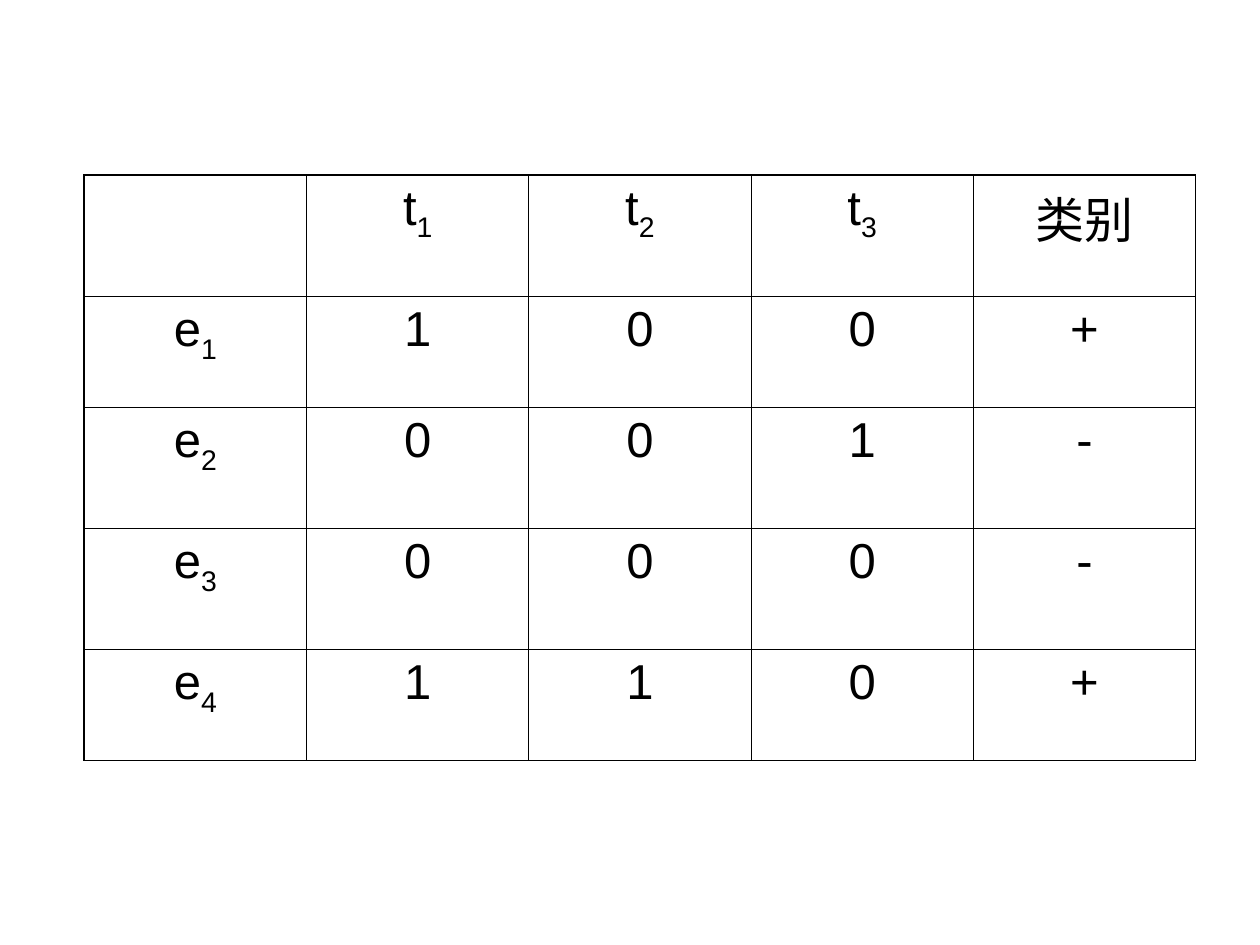
from lxml import etree
from pptx import Presentation
from pptx import util as u
from pptx.dml.color import RGBColor
from pptx.enum import text
from pptx.oxml.ns import qn

BLACK = RGBColor(0, 0, 0)
INNER_WIDTH = u.Pt(0.45)
OUTER_WIDTH = u.Pt(1.08)
COLUMN_WIDTH = u.Cm(4.48)
ROW_HEIGHTS = [u.Cm(height) for height in (2.44, 2.24, 2.44, 2.44, 2.24)]

# An underscore separates a symbol from its subscript.
ROWS = [
    ["", "t_1", "t_2", "t_3", "类别"],
    ["e_1", "1", "0", "0", "+"],
    ["e_2", "0", "0", "1", "-"],
    ["e_3", "0", "0", "0", "-"],
    ["e_4", "1", "1", "0", "+"],
]


def write_cell(cell, label):
    paragraph = cell.text_frame.paragraphs[0]
    paragraph.alignment = text.PP_ALIGN.CENTER
    paragraph.font.size = u.Pt(28)
    paragraph.font.name = "Arial"
    paragraph.font.color.rgb = BLACK
    base, _, subscript = label.partition("_")
    if base:
        paragraph.add_run().text = base
    if subscript:
        run = paragraph.add_run()
        run.text = subscript
        run.font._element.set("baseline", "-25000")


def set_borders(cell, outer_sides):
    """Draw all four sides, with the heavier line on the outer ones."""
    properties = cell._tc.get_or_add_tcPr()
    for side in "LRTB":
        width = OUTER_WIDTH if side in outer_sides else INNER_WIDTH
        line = etree.SubElement(properties, qn(f"a:ln{side}"), w=str(int(width)))
        fill = etree.SubElement(line, qn("a:solidFill"))
        etree.SubElement(fill, qn("a:srgbClr"), val=str(BLACK))


def find_outer_sides(row, column):
    last_row, last_column = len(ROWS) - 1, len(ROWS[0]) - 1
    edges = {"L": column == 0, "R": column == last_column,
             "T": row == 0, "B": row == last_row}
    return [side for side, is_outer in edges.items() if is_outer]


def add_example_table(slide):
    column_count = len(ROWS[0])
    frame = slide.shapes.add_table(
        len(ROWS), column_count, u.Cm(1.7), u.Cm(3.53),
        COLUMN_WIDTH * column_count, sum(ROW_HEIGHTS))
    table = frame.table
    table.first_row = table.horz_banding = False
    for column in table.columns:
        column.width = COLUMN_WIDTH
    for row, height in zip(table.rows, ROW_HEIGHTS):
        row.height = height
    for row, labels in enumerate(ROWS):
        for column, label in enumerate(labels):
            cell = table.cell(row, column)
            write_cell(cell, label)
            set_borders(cell, find_outer_sides(row, column))
            cell.fill.background()


def main():
    presentation = Presentation()
    presentation.slide_width = u.Cm(25.4)
    presentation.slide_height = u.Cm(19.05)
    slide = presentation.slides.add_slide(presentation.slide_layouts[6])
    add_example_table(slide)
    presentation.save("out.pptx")


if __name__ == "__main__":
    main()
